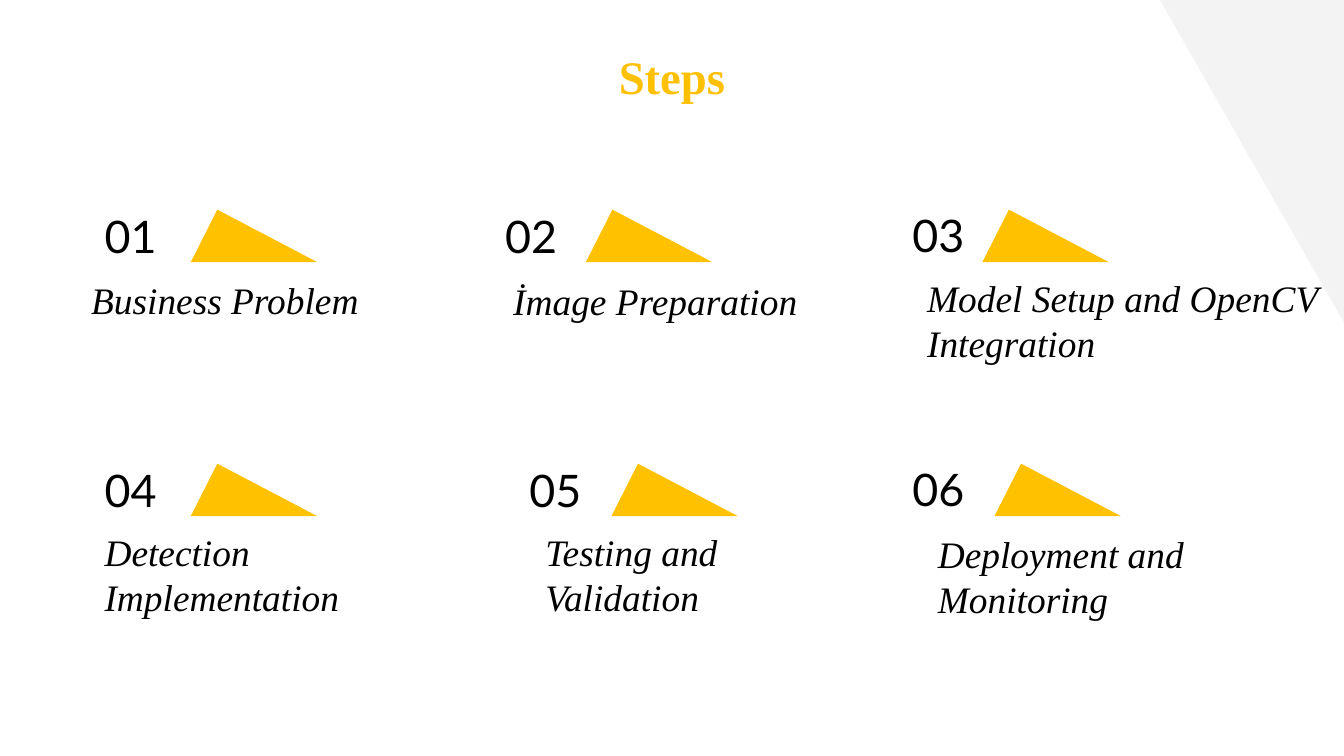
from pptx import Presentation
from pptx.dml.color import RGBColor
from pptx.enum.shapes import MSO_SHAPE as SHAPE
from pptx.enum.text import MSO_ANCHOR as ANCHOR, PP_ALIGN as ALIGN
from pptx.util import Inches, Pt

YELLOW = RGBColor(0xFF, 0xC1, 0x00)
TITLE_YELLOW = RGBColor(0xFF, 0xC0, 0x00)
PALE_GRAY = RGBColor(0xF3, 0xF3, 0xF3)
BLACK = RGBColor(0, 0, 0)
SERIF = "Times New Roman"

# Widescreen slide, 16:9
prs = Presentation()
prs.slide_width = Inches(10)
prs.slide_height = Inches(10 * 9 / 16)
slide = prs.slides.add_slide(prs.slide_layouts[6])


def add_shape(preset, left, top, width, height, color):
    shape = slide.shapes.add_shape(
        preset, Inches(left), Inches(top), Inches(width), Inches(height))
    shape.shadow.inherit = False
    shape.fill.solid()
    shape.fill.fore_color.rgb = color
    shape.line.fill.background()
    return shape


def add_text(text, left, top, width, height, size, font, color=BLACK,
             anchor=ANCHOR.TOP):
    frame = slide.shapes.add_textbox(
        Inches(left), Inches(top), Inches(width), Inches(height)).text_frame
    frame.word_wrap = True
    frame.vertical_anchor = anchor
    frame.margin_left = frame.margin_right = Inches(0.1)
    frame.margin_top = frame.margin_bottom = Inches(0.1)
    paragraph = frame.paragraphs[0]
    paragraph.text = text
    paragraph.font.size = Pt(size)
    paragraph.font.name = font
    paragraph.font.color.rgb = color
    return paragraph


# Corner decoration
corner = add_shape(SHAPE.RIGHT_TRIANGLE, 8.63, 0, 1.37, 2.4, PALE_GRAY)
corner.rotation = 180

# Heading
heading = add_text("Steps", 0.57, 0.26, 8.86, 0.63, 25, SERIF, TITLE_YELLOW)
heading.alignment = ALIGN.CENTER
heading.font.bold = True

# Steps: label, number left/top, marker left/top, label left/top/width
steps = [
    ("Business Problem", 0.68, 1.56, 1.42, 1.56, 0.58, 1.96, 2.36),
    ("İmage Preparation", 3.66, 1.56, 4.36, 1.56, 3.72, 1.97, 2.36),
    ("Model Setup and OpenCV Integration",
     6.69, 1.55, 7.31, 1.56, 6.8, 1.95, 3.57),
    ("Detection Implementation", 0.68, 3.45, 1.42, 3.45, 0.68, 3.84, 2.73),
    ("Testing and Validation", 3.84, 3.45, 4.55, 3.45, 3.96, 3.84, 2.36),
    ("Deployment and Monitoring", 6.69, 3.44, 7.4, 3.45, 6.88, 3.85, 2.36),
]
for number, step in enumerate(steps, start=1):
    (label, number_left, number_top, marker_left, marker_top,
     label_left, label_top, label_width) = step

    marker = add_shape(SHAPE.ISOSCELES_TRIANGLE, marker_left, marker_top,
                       0.94, 0.39, YELLOW)
    marker.adjustments[0] = 0.21

    add_text(f"{number:02d}", number_left, number_top, 1.18, 0.39, 24, "Lato",
             anchor=ANCHOR.MIDDLE)

    caption = add_text(label, label_left, label_top, label_width, 0.39, 20,
                       SERIF)
    caption.font.italic = True
    caption.space_after = Pt(16)

prs.save("out.pptx")
